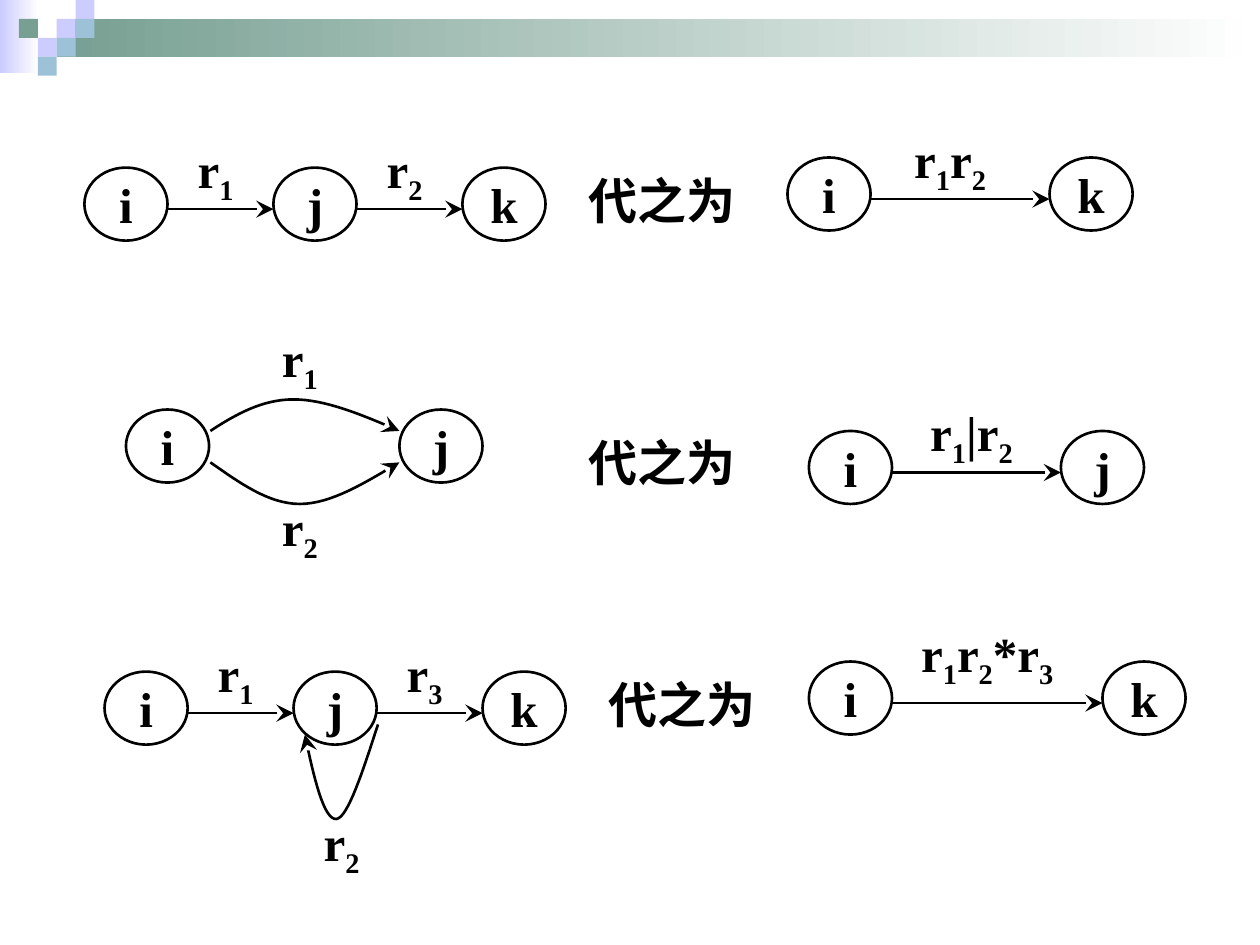
import itertools

import pptx
import pptx.dml.color
import pptx.enum.dml
import pptx.enum.shapes
import pptx.enum.text
import pptx.oxml
import pptx.oxml.ns
import pptx.util

Inches = pptx.util.Inches
Pt = pptx.util.Pt
Shape = pptx.enum.shapes.MSO_SHAPE

COLORS = {
    "ink": "000000",
    "white": "FFFFFF",
    "lilac": "CCCCFF",
    "green": "779F92",
    "blue": "9DC2D7",
}
FONT = "Times New Roman"
NODE_WIDTH, NODE_HEIGHT = 0.66, 0.58
ARROW_DROP = 0.33
LABEL_WIDTH, LABEL_HEIGHT = 0.92, 0.58
TILE = 0.15
CURVE_STEPS = 16


def color(name):
    return pptx.dml.color.RGBColor.from_string(COLORS[name])


def write_text(shape, text):
    frame = shape.text_frame
    frame.word_wrap = False
    frame.margin_left = frame.margin_right = 0
    frame.vertical_anchor = pptx.enum.text.MSO_ANCHOR.MIDDLE
    para = frame.paragraphs[0]
    para.alignment = pptx.enum.text.PP_ALIGN.CENTER
    para.font.name = FONT
    para.font.size = Pt(28)
    para.font.bold = True
    para.font.color.rgb = color("ink")
    for is_index, letters in itertools.groupby(text, str.isdigit):
        span = para.add_run()
        span.text = "".join(letters)
        if is_index:
            span._r.get_or_add_rPr().set("baseline", "-25000")


def add_label(page, left, top, text, width=LABEL_WIDTH, height=LABEL_HEIGHT):
    box = page.shapes.add_textbox(Inches(left), Inches(top), Inches(width), Inches(height))
    write_text(box, text)


def add_state(page, left, top, name):
    state = page.shapes.add_shape(
        Shape.OVAL, Inches(left), Inches(top), Inches(NODE_WIDTH), Inches(NODE_HEIGHT)
    )
    state.shadow.inherit = False
    state.fill.background()
    state.line.color.rgb = color("ink")
    state.line.width = Pt(1.5)
    write_text(state, name)


def style_arrow(arrow):
    arrow.line.color.rgb = color("ink")
    arrow.line.width = Pt(1.5)
    tail = pptx.oxml.parse_xml(
        f'<a:tailEnd {pptx.oxml.ns.nsdecls("a")} type="stealth" w="lg" len="lg"/>'
    )
    arrow.line._get_or_add_ln().append(tail)


def add_arrow(page, start, end, height):
    arrow = page.shapes.add_connector(
        pptx.enum.shapes.MSO_CONNECTOR.STRAIGHT,
        Inches(start), Inches(height), Inches(end), Inches(height),
    )
    style_arrow(arrow)
    arrow._element.spPr.append(
        pptx.oxml.parse_xml(f'<a:effectLst {pptx.oxml.ns.nsdecls("a")}/>')
    )


def bezier_point(points, t):
    weights = ((1 - t) ** 3, 3 * t * (1 - t) ** 2, 3 * t**2 * (1 - t), t**3)
    return tuple(
        Inches(sum(weight * point[axis] for weight, point in zip(weights, points)))
        for axis in (0, 1)
    )


def add_curve(page, points):
    trace = [
        bezier_point(points[first:first + 4], step / CURVE_STEPS)
        for first in range(0, len(points) - 1, 3)
        for step in range(1, CURVE_STEPS + 1)
    ]
    builder = page.shapes.build_freeform(*bezier_point(points[:4], 0))
    builder.add_line_segments(trace, close=False)
    curve = builder.convert_to_shape()
    curve.shadow.inherit = False
    curve.fill.background()
    style_arrow(curve)


def add_chain(page, left, top, pitch, states, labels, offset=0.58, lift=0.25,
              width=LABEL_WIDTH):
    for index, name in enumerate(states):
        add_state(page, left + index * pitch, top, name)
    for index, text in enumerate(labels):
        start = left + index * pitch
        add_arrow(page, start + NODE_WIDTH, start + pitch, top + ARROW_DROP)
        add_label(page, start + offset, top - lift, text, width)


def add_block(page, left, top, width, height, start, end=None):
    block = page.shapes.add_shape(
        Shape.RECTANGLE, Inches(left), Inches(top), Inches(width), Inches(height)
    )
    block.shadow.inherit = False
    block.line.fill.background()
    if end is None:
        block.fill.solid()
        block.fill.fore_color.rgb = color(start)
        return
    block.fill.gradient()
    block.fill.gradient_angle = 0
    for stop, name in zip(block.fill.gradient_stops, (start, end)):
        stop.color.rgb = color(name)


def add_banner(page):
    add_block(page, 0, 0, 0.31, 0.58, "lilac", "white")
    add_block(page, 0.45, 0.15, 9.55, 0.3, "green", "white")
    tiles = [
        (3, 1, "lilac"), (4, 0, "lilac"), (4, 1, "blue"), (2, 2, "lilac"),
        (1, 1, "green"), (3, 2, "blue"), (2, 3, "blue"),
    ]
    for column, row, name in tiles:
        add_block(page, column * TILE, row * TILE, TILE, TILE, name)


def main():
    deck = pptx.Presentation()
    deck.slide_width, deck.slide_height = Inches(10), Inches(7.5)
    page = deck.slides.add_slide(deck.slide_layouts[6])
    add_banner(page)

    for left, top in ((4.65, 1.25), (4.65, 3.33), (4.81, 5.25)):
        add_label(page, left, top, "代之为", 1.21, 0.67)

    add_chain(page, 0.67, 1.33, 1.5, "ijk", ["r1", "r2"])
    add_chain(page, 6.25, 1.25, 2.08, "ik", ["r1r2"], offset=0.83)

    add_chain(page, 1, 3.25, 2.17, "ij", [])
    add_curve(page, [(1.67, 3.42), (1.87, 3.29), (2.08, 3.17), (2.33, 3.17),
                     (2.58, 3.17), (2.87, 3.29), (3.17, 3.42)])
    add_curve(page, [(1.67, 3.67), (1.9, 3.83), (2.13, 4), (2.38, 4),
                     (2.63, 4), (2.9, 3.83), (3.17, 3.67)])
    add_label(page, 1.92, 2.58, "r1")
    add_label(page, 1.92, 3.92, "r2")
    add_chain(page, 6.42, 3.42, 2, "ij", ["r1|r2"], offset=0.83)

    add_chain(page, 0.83, 5.33, 1.5, "ijk", ["r1", "r3"])
    add_curve(page, [(3, 5.75), (2.88, 6.12), (2.76, 6.49), (2.67, 6.5),
                     (2.57, 6.51), (2.49, 6.17), (2.42, 5.83)])
    add_label(page, 2.25, 6.42, "r2")
    add_chain(page, 6.42, 5.25, 2.33, "ik", ["r1r2*r3"], offset=0.83, lift=0.33,
              width=1.17)

    deck.save("out.pptx")


if __name__ == "__main__":
    main()
